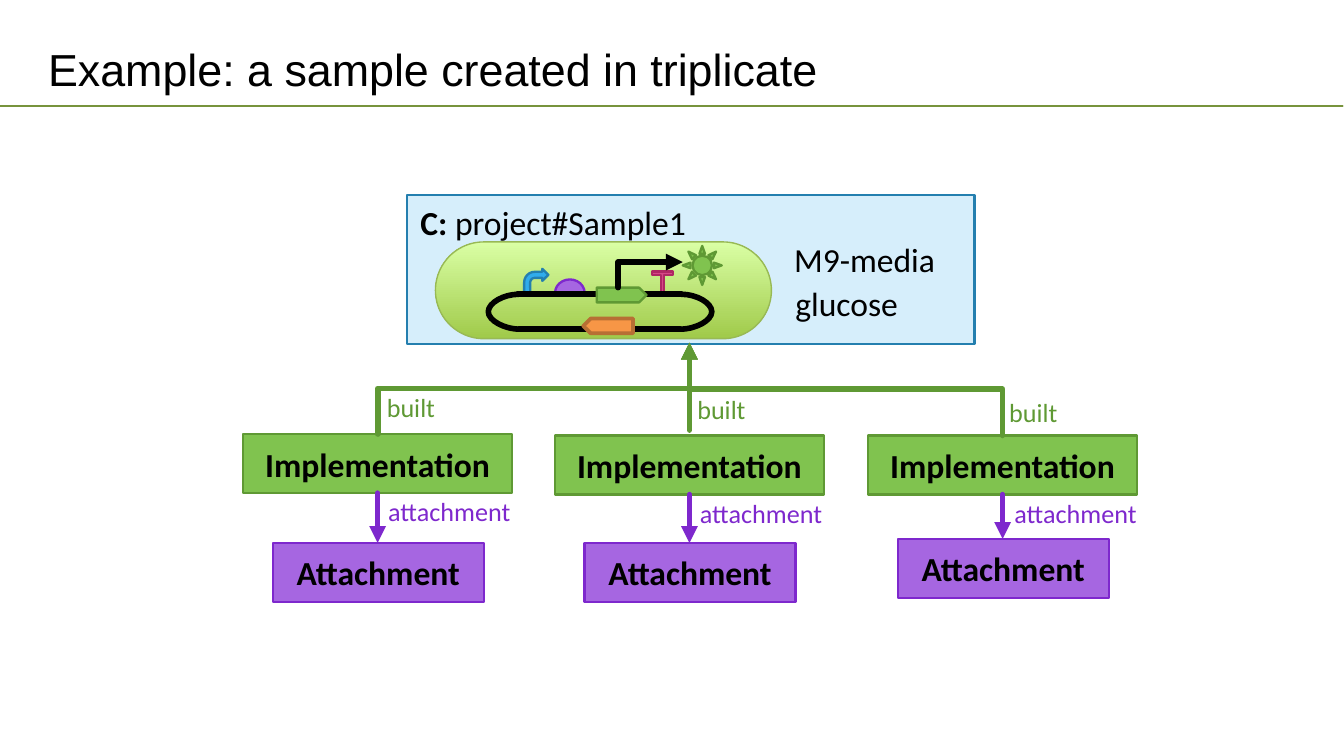
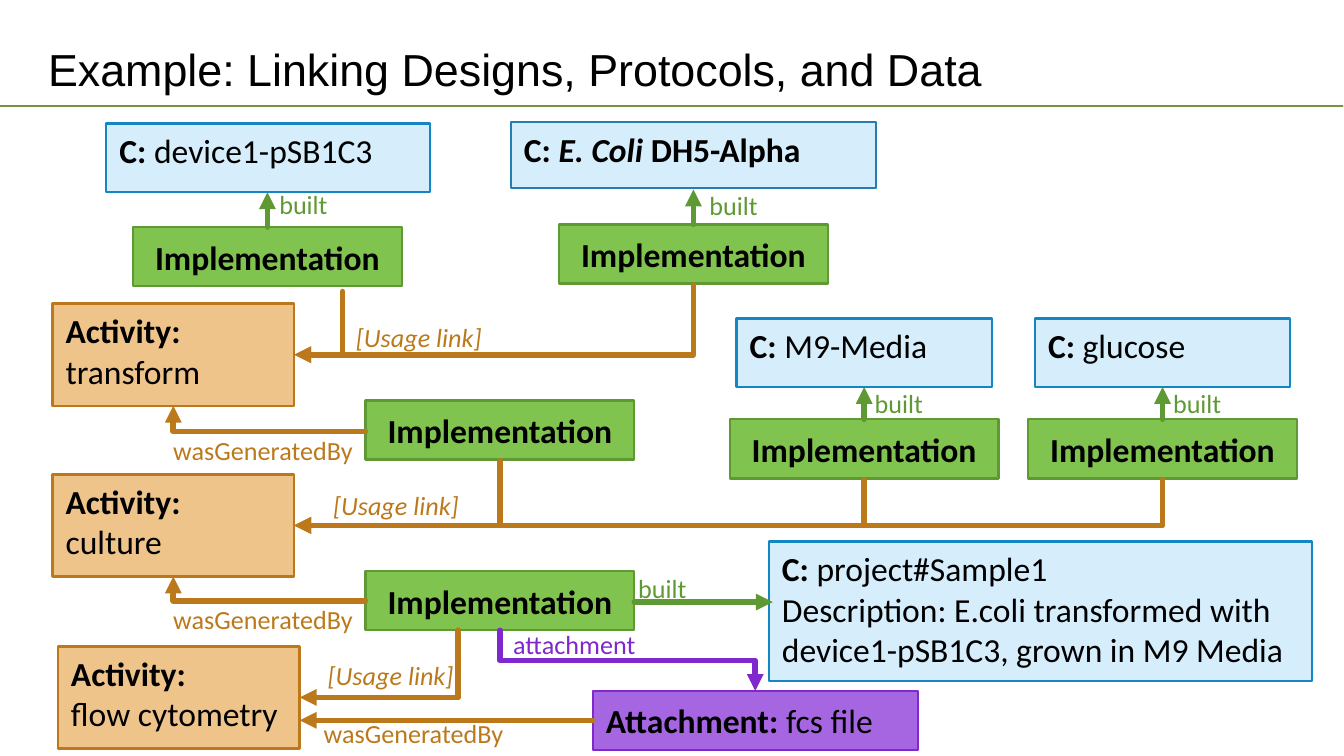
from dataclasses import dataclass

from lxml import etree
from pptx import Presentation
from pptx.dml.color import RGBColor
from pptx.enum.shapes import MSO_CONNECTOR, MSO_SHAPE
from pptx.enum.text import MSO_ANCHOR, PP_ALIGN
from pptx.oxml.ns import qn
from pptx.util import Inches, Pt

STRAIGHT, ELBOW, CURVE = MSO_CONNECTOR.STRAIGHT, MSO_CONNECTOR.ELBOW, MSO_CONNECTOR.CURVE
RECT, PILL, CHORD = MSO_SHAPE.RECTANGLE, MSO_SHAPE.ROUNDED_RECTANGLE, MSO_SHAPE.CHORD
PENTAGON, SUN, BENT_ARROW = MSO_SHAPE.PENTAGON, MSO_SHAPE.SUN, MSO_SHAPE.BENT_ARROW
TERMINATOR = MSO_SHAPE.LEFT_RIGHT_UP_ARROW
TOP, MIDDLE = MSO_ANCHOR.TOP, MSO_ANCHOR.MIDDLE
LEFT, CENTER = PP_ALIGN.LEFT, PP_ALIGN.CENTER

BLACK = RGBColor(0x00, 0x00, 0x00)
RULE = RGBColor(0x77, 0x93, 0x3C)
GREEN = RGBColor(0x5F, 0x99, 0x34)
LIGHT_GREEN = RGBColor(0x80, 0xC3, 0x4F)
PURPLE = RGBColor(0x7E, 0x28, 0xCD)
LIGHT_PURPLE = RGBColor(0xA6, 0x66, 0xE1)
BROWN = RGBColor(0xBC, 0x79, 0x1C)
TAN = RGBColor(0xEE, 0xC4, 0x8B)
BLUE = RGBColor(0x24, 0x7F, 0xAF)
PALE_BLUE = RGBColor(0xD6, 0xEE, 0xFB)
BRIGHT_BLUE = RGBColor(0x13, 0x86, 0xC3)
ICE_BLUE = RGBColor(0xD6, 0xED, 0xFC)
SKY = RGBColor(0x30, 0xAC, 0xEC)
PINK = RGBColor(0xD6, 0x47, 0x87)
CRIMSON = RGBColor(0xAF, 0x27, 0x64)
ORANGE = RGBColor(0xF7, 0x96, 0x46)
RUST = RGBColor(0xB7, 0x6F, 0x34)
CELL_EDGE = RGBColor(0x98, 0xB9, 0x55)
CELL_DARK = RGBColor(0xA0, 0xCA, 0x4A)
CELL_LIGHT = RGBColor(0xDA, 0xFF, 0xA5)

IMPLEMENTATION_SIZE = (2, 0.44)
ATTACHMENT_SIZE = (1.57, 0.44)
ACTIVITY_SIZE = (1.8, 0.76)


@dataclass(frozen=True)
class Style:
    """Fill, outline and text placement of a kind of box."""
    fill: RGBColor
    line: RGBColor
    anchor: int = TOP
    align: int = LEFT


@dataclass(frozen=True)
class Run:
    """A stretch of text with one formatting."""
    text: str
    bold: bool = False
    italic: bool = False


@dataclass(frozen=True)
class Box:
    """A rectangle with lines of runs in it."""
    at: tuple
    size: tuple
    style: Style
    lines: tuple


@dataclass(frozen=True)
class Label:
    """A small caption beside a link."""
    text: str
    at: tuple
    width: float
    color: RGBColor
    italic: bool = False


@dataclass(frozen=True)
class Link:
    """A line between two points; route is straight, corner, step or curve."""
    start: tuple
    end: tuple
    color: RGBColor
    route: str = "straight"
    arrow: str = "tail"
    width: float = 3


@dataclass(frozen=True)
class Glyph:
    """A preset shape of the genetic circuit."""
    shape: int
    at: tuple
    size: tuple
    fill: RGBColor
    line: RGBColor
    adjustments: tuple = ()
    rotation: float = 0
    width: float = 1.25


@dataclass(frozen=True)
class Replicate:
    """One column of the triplicate."""
    left: float
    top: float
    attachment_top: float
    built_at: tuple
    attachment_at: tuple


COMPONENT = Style(PALE_BLUE, BLUE)
BRIGHT_COMPONENT = Style(ICE_BLUE, BRIGHT_BLUE)
IMPLEMENTATION = Style(LIGHT_GREEN, GREEN, MIDDLE, CENTER)
ATTACHMENT = Style(LIGHT_PURPLE, PURPLE, MIDDLE, CENTER)
DATA_FILE = Style(LIGHT_PURPLE, PURPLE, MIDDLE)
ACTIVITY = Style(TAN, BROWN)
PREFIX = Run("C: ", bold=True)


def write(tf, lines: tuple, size: float, color: RGBColor, align=LEFT, font="Calibri") -> None:
    """Fill a text frame with lines of formatted runs."""
    for i, line in enumerate(lines):
        p = tf.add_paragraph() if i else tf.paragraphs[0]
        p.alignment = align
        for run in line:
            r = p.add_run()
            r.text = run.text
            r.font.name, r.font.size = font, Pt(size)
            r.font.bold, r.font.italic = run.bold, run.italic
            r.font.color.rgb = color


def add_text(s, at: tuple, size: tuple, run: Run, points: float, color: RGBColor,
             font="Calibri", anchor=TOP, wrap=False) -> None:
    """Add a text box of one run."""
    tf = s.shapes.add_textbox(*map(Inches, at + size)).text_frame
    tf.word_wrap, tf.vertical_anchor = wrap, anchor
    write(tf, ((run,),), points, color, font=font)


def add_label(s, label: Label) -> None:
    """Add the caption of a link."""
    add_text(s, label.at, (label.width, 0.34), Run(label.text, italic=label.italic), 14, label.color)


def add_glyph(s, glyph: Glyph):
    """Add a filled and outlined preset shape."""
    sp = s.shapes.add_shape(glyph.shape, *map(Inches, glyph.at + glyph.size))
    sp.shadow.inherit = False
    sp.fill.solid()
    sp.fill.fore_color.rgb = glyph.fill
    sp.line.color.rgb, sp.line.width = glyph.line, Pt(glyph.width)
    sp.rotation = glyph.rotation
    for i, value in enumerate(glyph.adjustments):
        sp.adjustments[i] = value
    return sp


def add_box(s, box: Box) -> None:
    """Add a rectangle with its text."""
    sp = add_glyph(s, Glyph(RECT, box.at, box.size, box.style.fill, box.style.line))
    tf = sp.text_frame
    tf.word_wrap, tf.vertical_anchor = True, box.style.anchor
    write(tf, box.lines, 18, BLACK, box.style.align)


def add_link(s, link: Link) -> None:
    """Add a connector; a step leaves and arrives vertically, a corner leaves horizontally."""
    (x1, y1), (x2, y2) = link.start, link.end
    if link.route == "step":
        cx, cy, dx, dy = (x1 + x2) / 2, (y1 + y2) / 2, x2 - x1, y2 - y1
        x1, y1, x2, y2 = cx - dy / 2, cy + dx / 2, cx + dy / 2, cy - dx / 2
    kind = {"straight": STRAIGHT, "curve": CURVE}.get(link.route, ELBOW)
    c = s.shapes.add_connector(kind, *map(Inches, (x1, y1, x2, y2)))
    c.line.color.rgb, c.line.width = link.color, Pt(link.width)
    props = c.element.spPr
    geometry = props.find(qn("a:prstGeom"))
    if link.route == "step":
        props.find(qn("a:xfrm")).set("rot", "5400000")
    elif link.route == "corner":
        geometry.set("prst", "bentConnector2")
    elif link.route == "curve":
        guide = etree.SubElement(geometry.find(qn("a:avLst")), qn("a:gd"))
        guide.set("name", "adj1")
        guide.set("fmla", "val 2400000")
    ln = props.find(qn("a:ln"))
    ln.set("cap", "rnd")
    if link.arrow:
        etree.SubElement(ln, qn(f"a:{link.arrow}End")).set("type", "triangle")
    etree.SubElement(props, qn("a:effectLst"))


def add_slide(prs, title: str):
    """Add a blank slide with the title and the rule below it."""
    s = prs.slides.add_slide(prs.slide_layouts[6])
    add_link(s, Link((0, 0.79), (9.99, 0.79), RULE, arrow="", width=1))
    add_text(s, (0.26, 0.23), (9, 0.56), Run(title), 24, BLACK, "Arial", MIDDLE, True)
    return s


def component(at: tuple, size: tuple, name: str, style=BRIGHT_COMPONENT) -> Box:
    """Describe a component box."""
    return Box(at, size, style, ((PREFIX, Run(name)),))


def implementation(at: tuple) -> Box:
    """Describe an implementation box."""
    return Box(at, IMPLEMENTATION_SIZE, IMPLEMENTATION, ((Run("Implementation", True),),))


def built(at: tuple) -> Label:
    """Describe a built caption."""
    return Label("built", at, 0.57, GREEN)


def attachment(at: tuple) -> Label:
    """Describe an attachment caption."""
    return Label("attachment", at, 1.16, PURPLE)


def add_cell(s) -> None:
    """Draw the cell with its plasmid."""
    cell = add_glyph(s, Glyph(PILL, (3.24, 1.8), (2.5, 0.72), CELL_LIGHT, CELL_EDGE, (0.5,), width=0.75))
    cell.fill.gradient()
    cell.fill.gradient_angle = 90
    for stop, color in zip(cell.fill.gradient_stops, (CELL_DARK, CELL_LIGHT)):
        stop.color.rgb = color
    parts = (
        Glyph(CHORD, (4.13, 2.08), (0.22, 0.2), LIGHT_PURPLE, PURPLE, (106.9, 2.146)),
        Glyph(TERMINATOR, (4.85, 2.02), (0.16, 0.17), PINK, CRIMSON, (0.182, 0.081, 0), 180),
        Glyph(BENT_ARROW, (3.9, 2), (0.18, 0.19), SKY, BLUE),
        Link((3.85, 2.19), (5.07, 2.19), BLACK, arrow=""),
        Glyph(PENTAGON, (4.44, 2.14), (0.37, 0.11), LIGHT_GREEN, GREEN),
        Glyph(SUN, (5.08, 1.83), (0.29, 0.29), LIGHT_GREEN, GREEN),
        Link((5.08, 1.95), (4.6, 2.14), BLACK, "corner", "head"),
        Link((5.06, 2.45), (3.86, 2.45), BLACK, arrow=""),
        Glyph(PENTAGON, (4.34, 2.37), (0.37, 0.11), ORANGE, RUST, rotation=180, width=2),
        Link((5.06, 2.45), (5.07, 2.19), BLACK, "curve", ""),
        Link((3.87, 2.45), (3.86, 2.19), BLACK, "curve", ""),
    )
    for part in parts:
        (add_link if isinstance(part, Link) else add_glyph)(s, part)


def build_triplicate(prs) -> None:
    """Build the slide on three implementations of one sample."""
    s = add_slide(prs, "Example: a sample created in triplicate")
    add_box(s, component((3.03, 1.45), (4.22, 1.11), "project#Sample1", COMPONENT))
    add_cell(s)
    add_text(s, (5.81, 1.73), (1.28, 0.4), Run("M9-media"), 18, BLACK)
    add_text(s, (5.82, 2.06), (1, 0.4), Run("glucose"), 18, BLACK)
    sample = (5.13, 2.55)
    replicates = (
        Replicate(1.81, 3.23, 4.04, (2.78, 2.86), (2.79, 3.64)),
        Replicate(4.13, 3.24, 4.04, (5.09, 2.88), (5.11, 3.65)),
        Replicate(6.46, 3.24, 4.01, (7.41, 2.9), (7.45, 3.65)),
    )
    for rep in replicates:
        middle = rep.left + 1
        add_box(s, implementation((rep.left, rep.top)))
        add_box(s, Box((middle - 0.78, rep.attachment_top), ATTACHMENT_SIZE, ATTACHMENT,
                       ((Run("Attachment", True),),)))
        if middle == sample[0]:
            add_link(s, Link((middle, 3.2), sample, GREEN))
        else:
            add_link(s, Link((middle, rep.top), sample, GREEN, "step"))
        add_link(s, Link((middle, rep.top + 0.44), (middle, rep.attachment_top), PURPLE))
        add_label(s, built(rep.built_at))
        add_label(s, attachment(rep.attachment_at))


def build_linking(prs) -> None:
    """Build the slide on linked designs, protocols and data."""
    s = add_slide(prs, "Example: Linking Designs, Protocols, and Data")
    strain = (PREFIX, Run("E. Coli ", True, True), Run("DH5-Alpha", True))
    description = Run("Description: E.coli transformed with device1-pSB1C3, grown in M9 Media")
    boxes = [
        Box((5.72, 4.03), (4.04, 1.04), BRIGHT_COMPONENT,
            ((PREFIX, Run("project#Sample1")), (description,))),
        Box((4.41, 5.14), (2.42, 0.44), DATA_FILE, ((Run("Attachment: ", True), Run("fcs file")),)),
        Box((3.8, 0.91), (2.72, 0.49), COMPONENT, (strain,)),
        component((0.79, 0.92), (2.41, 0.51), "device1-pSB1C3"),
        component((5.48, 2.37), (1.9, 0.51), "M9-Media"),
        component((7.7, 2.37), (1.9, 0.51), "glucose"),
    ]
    implementations = ((2.72, 4.25), (2.72, 2.98), (0.99, 1.69), (4.16, 1.67), (5.43, 3.12), (7.65, 3.12))
    boxes += [implementation(at) for at in implementations]
    activities = (("flow cytometry", (0.43, 4.81)), ("transform", (0.39, 2.26)), ("culture", (0.39, 3.53)))
    boxes += [Box(at, ACTIVITY_SIZE, ACTIVITY, ((Run("Activity:", True),), (Run(name),)))
              for name, at in activities]
    for box in boxes:
        add_box(s, box)

    links = [Link((x, y), (x, top), GREEN)
             for x, y, top in ((1.99, 1.69, 1.43), (5.16, 1.67, 1.41), (6.43, 3.12, 2.88), (8.65, 3.12, 2.88))]
    links += [Link((4.72, 4.48), (5.75, 4.48), GREEN),
              Link((3.72, 4.69), (5.62, 5.14), PURPLE, "step"),
              Link((4.41, 5.36), (2.23, 5.36), BROWN)]
    usages = (((2.19, 2.64), ((5.16, 2.12), (2.55, 2.17))),
              ((2.19, 3.91), ((3.72, 3.43), (6.43, 3.57), (8.65, 3.57))),
              ((2.23, 5.19), ((3.41, 4.69),)))
    links += [Link(activity, used, BROWN, "corner", "head") for activity, uses in usages for used in uses]
    links += [Link((2.72, y), (1.29, top), BROWN, "corner") for y, top in ((3.21, 3.02), (4.47, 4.29))]
    for link in links:
        add_link(s, link)

    labels = [built(at) for at in ((4.65, 4.21), (1.98, 1.35), (5.18, 1.36), (6.41, 2.83), (8.63, 2.83))]
    labels += [attachment((3.72, 4.63))]
    labels += [Label("[Usage link]", at, 1.16, BROWN, True) for at in ((2.38, 3.59), (2.55, 2.34), (2.34, 4.86))]
    labels += [Label("wasGeneratedBy", at, 1.59, BROWN) for at in ((1.19, 3.18), (1.19, 4.44), (2.31, 5.29))]
    for label in labels:
        add_label(s, label)


def main() -> None:
    """Build and save the presentation."""
    prs = Presentation()
    prs.slide_width = Inches(10)
    prs.slide_height = prs.slide_width * 9 // 16
    build_triplicate(prs)
    build_linking(prs)
    prs.save("out.pptx")


if __name__ == "__main__":
    main()
